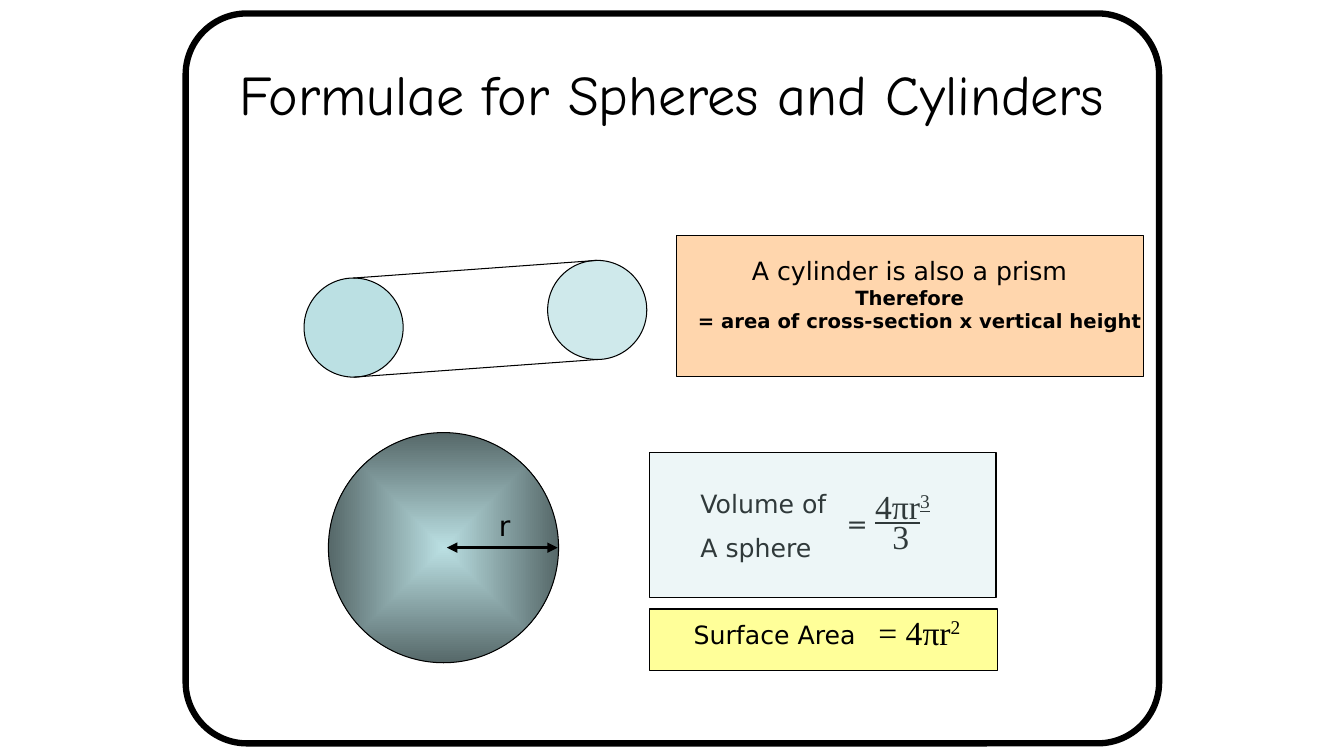
import pptx
import pptx.util
import pptx.dml.color
import pptx.enum.shapes
import pptx.enum.text
import pptx.oxml
import pptx.oxml.ns

RGB = pptx.dml.color.RGBColor
SHAPE = pptx.enum.shapes.MSO_SHAPE
ALIGN = pptx.enum.text.PP_ALIGN
ANCHOR = pptx.enum.text.MSO_ANCHOR
Pt = pptx.util.Pt
qn = pptx.oxml.ns.qn

BLACK = RGB(0, 0, 0)
AQUA = RGB(0xBB, 0xE0, 0xE3)
SLATE = RGB(0x56, 0x68, 0x69)
PEACH = RGB(0xFF, 0xCC, 0x99)
YELLOW = RGB(0xFF, 0xFF, 0x99)
SANS, SERIF, COMIC = "DejaVu Sans", "Times New Roman", "Comic Neue"

# Content: each paragraph is a list of (text, run format)
TITLE = [[("Formulae for Spheres and Cylinders", {})]]
PRISM = [
    [("A cylinder is also a prism", {"size": 18})],
    [("Therefore", {"bold": True})],
    [("= area of cross-section x vertical height", {"bold": True})],
]
VOLUME_LABEL = [[("Volume of", {})], [("A sphere", {})]]
VOLUME_FRACTION = [
    [("4πr", {"underline": True}), ("3", {"underline": True, "raised": True})],
    [("3", {})],
]
AREA_LABEL = [[("Surface Area", {})]]
AREA_FORMULA = [[("= 4πr", {}), ("2", {"raised": True})]]

# Layout: a grid of 160 columns by 90 rows; boxes are column, row, width, height
CELL = pptx.util.Inches(1 / 12)
FRAME = (22.1, 1.6, 115.9, 86.9)
TITLE_BOX = (8, 3.6, 144, 15)
PRISM_PANEL = (80.5, 28, 55.6, 16.8)
VOLUME_PANEL = (77.3, 53.9, 41.3, 17.2)
AREA_PANEL = (77.3, 72.5, 41.5, 7.3)
SPHERE = (39.1, 51.5, 27.4, 27.4)
DISC = 11.8
NEAR_END, FAR_END = (36.2, 33.1), (65.2, 31)

prs = pptx.Presentation()
prs.slide_width, prs.slide_height = 160 * CELL, 90 * CELL
s = prs.slides.add_slide(prs.slide_layouts[6])


def grid(values):
    return [round(v * CELL) for v in values]


def add_text(sp, paragraphs, font=SANS, size=18, align=ALIGN.LEFT, anchor=ANCHOR.TOP,
             wrap=True, gap=0, pitch=None, last_indent=0):
    tf = sp.text_frame
    tf.word_wrap, tf.vertical_anchor = wrap, anchor
    for i, runs in enumerate(paragraphs):
        p = tf.paragraphs[0] if i == 0 else tf.add_paragraph()
        p.alignment = align
        if i:
            p.space_before = Pt(gap)
            if pitch:
                p.line_spacing = Pt(pitch)
        if last_indent and i == len(paragraphs) - 1:
            p._p.get_or_add_pPr().set("marL", str(pptx.util.Inches(last_indent)))
        for text, style in runs:
            r = p.add_run()
            r.text = text
            r.font.name = font
            r.font.size = Pt(style.get("size", size))
            r.font.bold = style.get("bold", False)
            r.font.underline = style.get("underline", False)
            r.font.color.rgb = BLACK
            if style.get("raised"):
                r._r.get_or_add_rPr().set("baseline", "30000")
    return sp


def text_box(box, paragraphs, **style):
    return add_text(s.shapes.add_textbox(*grid(box)), paragraphs, **style)


def add_shape(kind, box, color=None, opacity=100, width=0.75):
    sp = s.shapes.add_shape(kind, *grid(box))
    sp.shadow.inherit = False
    sp.line.color.rgb, sp.line.width = BLACK, Pt(width)
    if color is None:
        sp.fill.background()
        return sp
    sp.fill.solid()
    sp.fill.fore_color.rgb = color
    if opacity < 100:
        clr = sp._element.spPr.find(qn("a:solidFill"))[0]
        clr.append(clr.makeelement(qn("a:alpha"), {"val": str(opacity * 1000)}))
    return sp


def add_line(start, end, width=0.75, arrows=False):
    c = s.shapes.add_connector(pptx.enum.shapes.MSO_CONNECTOR.STRAIGHT, *grid(start + end))
    c.line.color.rgb, c.line.width = BLACK, Pt(width)
    spPr = c._element.spPr
    spPr.append(spPr.makeelement(qn("a:effectLst"), {}))
    if arrows:
        ln = c.line._get_or_add_ln()
        for tag in ("a:headEnd", "a:tailEnd"):
            ln.append(ln.makeelement(qn(tag), {"type": "triangle"}))


# Title
text_box(TITLE_BOX, TITLE, font=COMIC, size=40, align=ALIGN.CENTER, anchor=ANCHOR.MIDDLE)

# Sphere shaded from a light centre to a dark rim
ball = add_shape(SHAPE.OVAL, SPHERE)
ball.fill.gradient()
for stop, color, place in zip(ball.fill.gradient_stops, (AQUA, SLATE), (0, 1)):
    stop.color.rgb, stop.position = color, place
grad = ball._element.spPr.find(qn("a:gradFill"))
grad.replace(grad.find(qn("a:lin")), pptx.oxml.parse_xml(
    '<a:path xmlns:a="http://schemas.openxmlformats.org/drawingml/2006/main" path="shape">'
    '<a:fillToRect l="50000" t="50000" r="50000" b="50000"/></a:path>'))

# Radius
add_line((53.2, 65.2), (66.4, 65.2), width=2.5, arrows=True)
text_box((58.2, 59.9, 9, 5.2), [[("r", {})]], size=20)

# Surface area
add_shape(SHAPE.RECTANGLE, AREA_PANEL, YELLOW)
text_box((81.4, 73.1, 26.3, 4.8), AREA_LABEL)
text_box((103.4, 72.2, 13, 6), AREA_FORMULA, font=SERIF, size=24)

# Volume, under a translucent panel
text_box((103, 57.2, 21.7, 16.9), VOLUME_FRACTION, font=SERIF, size=24,
         pitch=22, last_indent=0.17)
text_box((82.2, 57.5, 34.9, 10.2), VOLUME_LABEL, gap=10)
text_box((99.6, 59.9, 6.4, 4.8), [[("=", {})]])
add_shape(SHAPE.RECTANGLE, VOLUME_PANEL, AQUA, opacity=26, width=1)

# Cylinder: two discs joined at top and bottom
for corner, opacity in ((NEAR_END, 100), (FAR_END, 70)):
    add_shape(SHAPE.OVAL, corner + (DISC, DISC), AQUA, opacity)
for drop in (0, DISC):
    add_line(*[(x + DISC / 2, y + drop) for x, y in (NEAR_END, FAR_END)])

# Prism rule
panel = add_shape(SHAPE.RECTANGLE, PRISM_PANEL, PEACH, opacity=80)
add_text(panel, PRISM, size=14, align=ALIGN.CENTER, anchor=ANCHOR.MIDDLE,
         wrap=False, last_indent=0.2)
panel.text_frame.margin_bottom = pptx.util.Inches(0.28)

# Frame
frame = add_shape(SHAPE.ROUNDED_RECTANGLE, FRAME, width=4.5)
frame.adjustments[0] = 0.084

prs.save("out.pptx")
